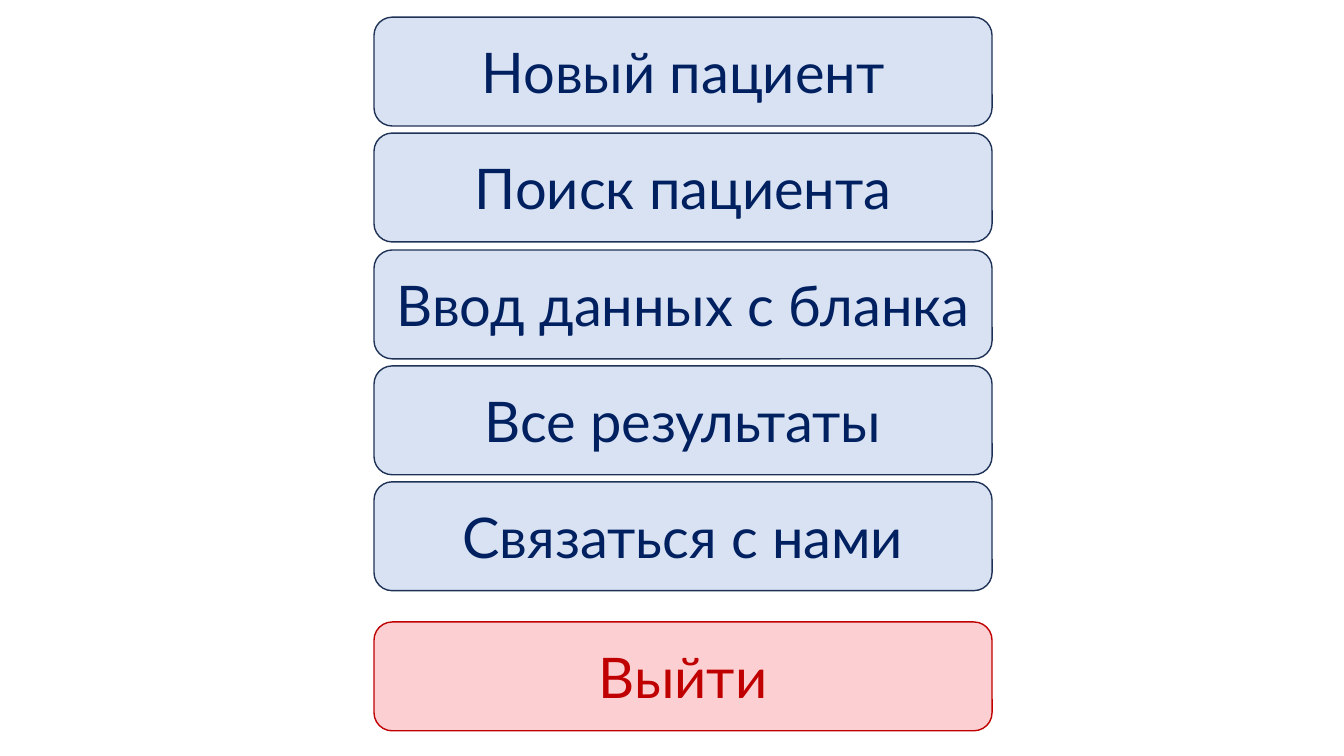
from pptx import Presentation
from pptx.dml.color import RGBColor
from pptx.enum import shapes, text
from pptx.util import Inches, Pt

MENU = [
    "Новый пациент",
    "Поиск пациента",
    "Ввод данных с бланка",
    "Все результаты",
    "Связаться с нами",
]
EXIT = "Выйти"

PALE_BLUE = RGBColor(0xD9, 0xE2, 0xF3)
SLATE = RGBColor(0x1E, 0x32, 0x56)
NAVY = RGBColor(0x00, 0x20, 0x60)
PINK = RGBColor(0xFC, 0xD0, 0xD2)
RED = RGBColor(0xC0, 0x00, 0x00)

LEFT, WIDTH, HEIGHT = 3.71, 6.13, 1.08
MENU_TOP, STEP, EXIT_TOP = 0.17, 1.153, 6.17


def add_button(slide, label, top, fill, line, color):
    sp = slide.shapes.add_shape(
        shapes.MSO_SHAPE.ROUNDED_RECTANGLE,
        Inches(LEFT), Inches(top), Inches(WIDTH), Inches(HEIGHT))
    sp.shadow.inherit = False
    sp.fill.solid()
    sp.fill.fore_color.rgb = fill
    sp.line.color.rgb = line
    sp.line.width = Pt(1)
    tf = sp.text_frame
    tf.word_wrap = True
    tf.vertical_anchor = text.MSO_ANCHOR.MIDDLE
    p = tf.paragraphs[0]
    p.text = label
    p.alignment = text.PP_ALIGN.CENTER
    p.font.name = "Lato"
    p.font.size = Pt(40)
    p.font.color.rgb = color


prs = Presentation()
prs.slide_width, prs.slide_height = Inches(13.33), Inches(7.5)
s = prs.slides.add_slide(prs.slide_layouts[6])

for i, label in enumerate(MENU):
    add_button(s, label, round(MENU_TOP + i * STEP, 2), PALE_BLUE, SLATE, NAVY)
add_button(s, EXIT, EXIT_TOP, PINK, RED, RED)

prs.save("out.pptx")
